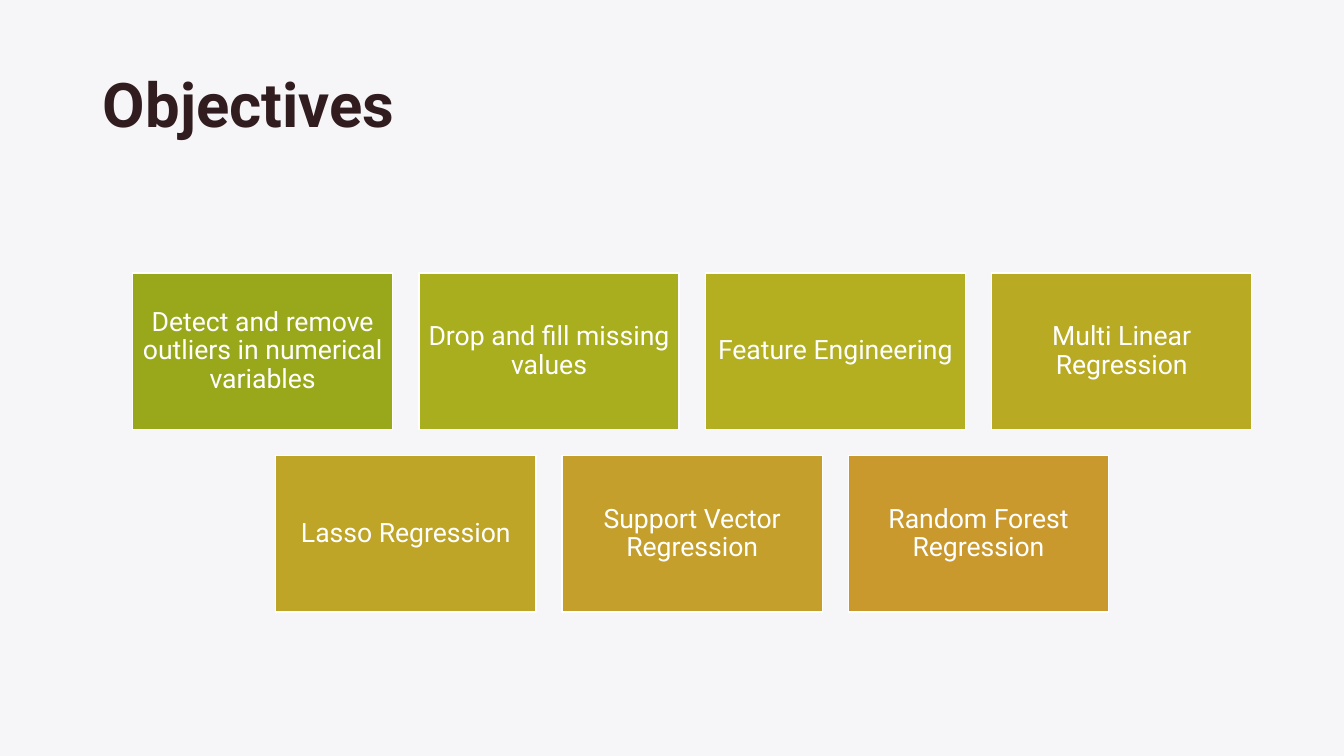
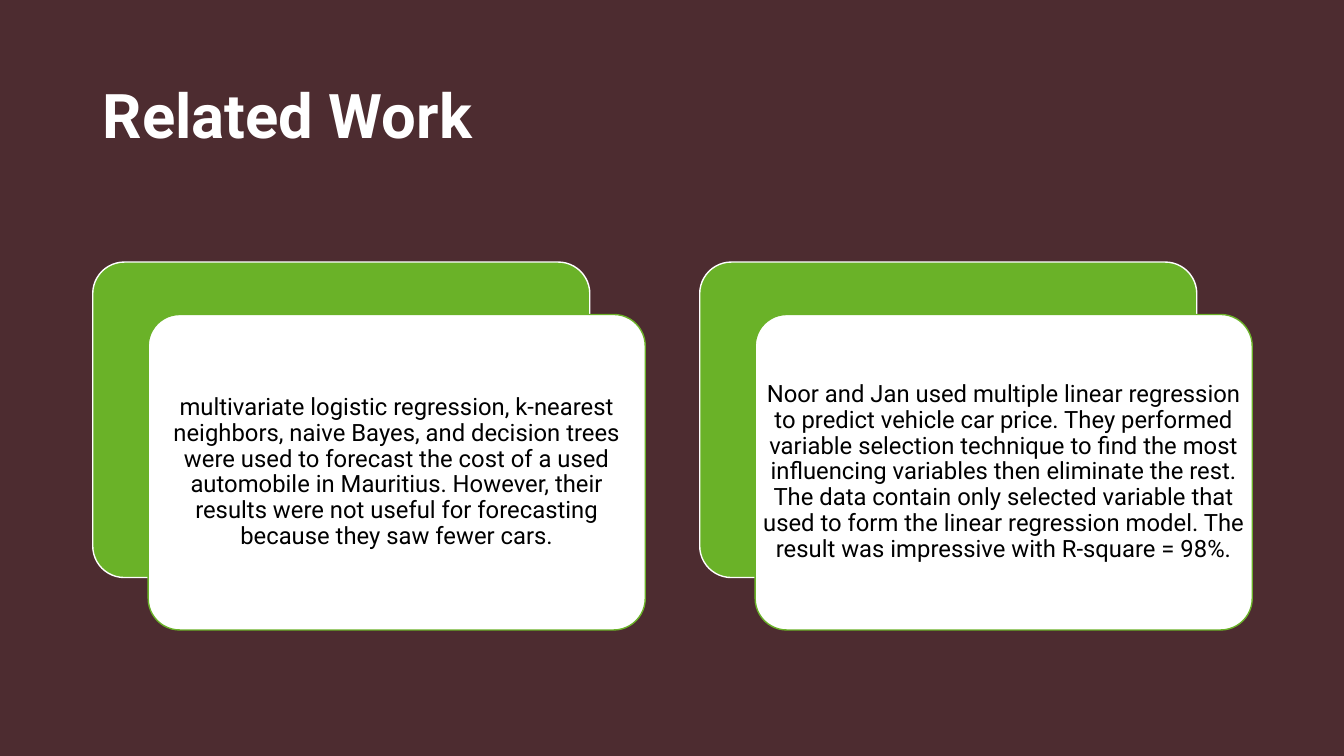
from pptx import Presentation
from pptx import util as u
from pptx.dml.color import RGBColor
from pptx.enum import shapes, text as t

FONT = "Roboto"
WHITE, BLACK, GREEN = "FFFFFF", "000000", "6AB228"
PALE, PLUM, DARK_PLUM = "F6F5F7", "4D2C30", "311C1F"

TILE_WIDTH, TILE_HEIGHT, TILE_GAP = 2.58, 1.55, 0.26
TILES_CENTER, TILES_TOP = 6.865, 2.71
TILE_ROWS = [
    [("Detect and remove outliers in numerical variables", "99A81B"),
     ("Drop and fill missing values", "A8AE1E"),
     ("Feature Engineering", "B3AF21"),
     ("Multi Linear Regression", "B9AA24")],
    [("Lasso Regression", "BEA427"),
     ("Support Vector Regression", "C49F2B"),
     ("Random Forest Regression", "C9992E")],
]

CARD_WIDTH, CARD_HEIGHT = 4.93, 3.13
CARDS_LEFT, CARDS_TOP, CARD_PITCH = 0.92, 2.6, 6.02
CARD_SHIFT_X, CARD_SHIFT_Y = 0.55, 0.52
CARDS = [
    "multivariate logistic regression, k-nearest neighbors, naive Bayes, and "
    "decision trees were used to forecast the cost of a used automobile in "
    "Mauritius. However, their results were not useful for forecasting because "
    "they saw fewer cars.",
    "Noor and Jan used multiple linear regression to predict vehicle car price. "
    "They performed variable selection technique to find the most influencing "
    "variables then eliminate the rest. The data contain only selected variable "
    "that used to form the linear regression model. The result was impressive "
    "with R-square = 98%.",
]


def color(value):
    return RGBColor.from_string(value)


def box(left, top, width, height):
    return [u.Inches(value) for value in (left, top, width, height)]


def write_text(shape, text, size, fill, bold=False, align=t.PP_ALIGN.CENTER,
               anchor=t.MSO_ANCHOR.MIDDLE, inset=0.08, spacing=0.9):
    frame = shape.text_frame
    frame.word_wrap = True
    frame.auto_size = t.MSO_AUTO_SIZE.NONE
    frame.vertical_anchor = anchor
    frame.margin_left = frame.margin_right = u.Inches(inset)
    frame.margin_top = frame.margin_bottom = u.Inches(min(inset, 0.08))
    paragraph = frame.paragraphs[0]
    paragraph.alignment = align
    paragraph.line_spacing = spacing
    run = paragraph.add_run()
    run.text = text
    run.font.name = FONT
    run.font.size = u.Pt(size)
    run.font.bold = bold
    run.font.color.rgb = color(fill)


def add_panel(slide, kind, position, fill, line):
    shape = slide.shapes.add_shape(kind, *box(*position))
    shape.shadow.inherit = False
    shape.fill.solid()
    shape.fill.fore_color.rgb = color(fill)
    shape.line.color.rgb = color(line)
    shape.line.width = u.Pt(1)
    return shape


def add_titled_slide(presentation, title, position, background, title_color, anchor):
    slide = presentation.slides.add_slide(presentation.slide_layouts[5])
    slide.background.fill.solid()
    slide.background.fill.fore_color.rgb = color(background)
    shape = slide.shapes.title
    shape.left, shape.top, shape.width, shape.height = box(*position)
    write_text(shape, title, 44, title_color, bold=True, align=t.PP_ALIGN.LEFT,
               anchor=anchor, inset=0.1, spacing=1.0)
    return slide


def add_tile_row(slide, tiles, top):
    pitch = TILE_WIDTH + TILE_GAP
    left = TILES_CENTER - (len(tiles) * pitch - TILE_GAP) / 2
    for index, (label, fill) in enumerate(tiles):
        position = (left + index * pitch, top, TILE_WIDTH, TILE_HEIGHT)
        tile = add_panel(slide, shapes.MSO_SHAPE.RECTANGLE, position, fill, WHITE)
        write_text(tile, label, 19, WHITE)


def add_card(slide, text, left, top):
    back = (left, top, CARD_WIDTH, CARD_HEIGHT)
    front = (left + CARD_SHIFT_X, top + CARD_SHIFT_Y, CARD_WIDTH, CARD_HEIGHT)
    for position, fill, line in ((back, GREEN, WHITE), (front, WHITE, GREEN)):
        panel = add_panel(slide, shapes.MSO_SHAPE.ROUNDED_RECTANGLE, position, fill, line)
        panel.adjustments[0] = 0.1
    write_text(slide.shapes.add_textbox(*box(*front)), text, 17, BLACK, inset=0.07)


def main():
    presentation = Presentation()
    presentation.slide_width = u.Inches(13.33)
    presentation.slide_height = u.Inches(7.5)

    objectives = add_titled_slide(presentation, "Objectives", (0.92, 0.57, 11.32, 1.4),
                                  PALE, DARK_PLUM, t.MSO_ANCHOR.TOP)
    for row, tiles in enumerate(TILE_ROWS):
        add_tile_row(objectives, tiles, TILES_TOP + row * (TILE_HEIGHT + TILE_GAP))

    related_work = add_titled_slide(presentation, "Related Work", (0.92, 0.4, 11.5, 1.45),
                                    PLUM, WHITE, t.MSO_ANCHOR.MIDDLE)
    for index, text in enumerate(CARDS):
        add_card(related_work, text, CARDS_LEFT + index * CARD_PITCH, CARDS_TOP)

    presentation.save("out.pptx")


if __name__ == "__main__":
    main()
